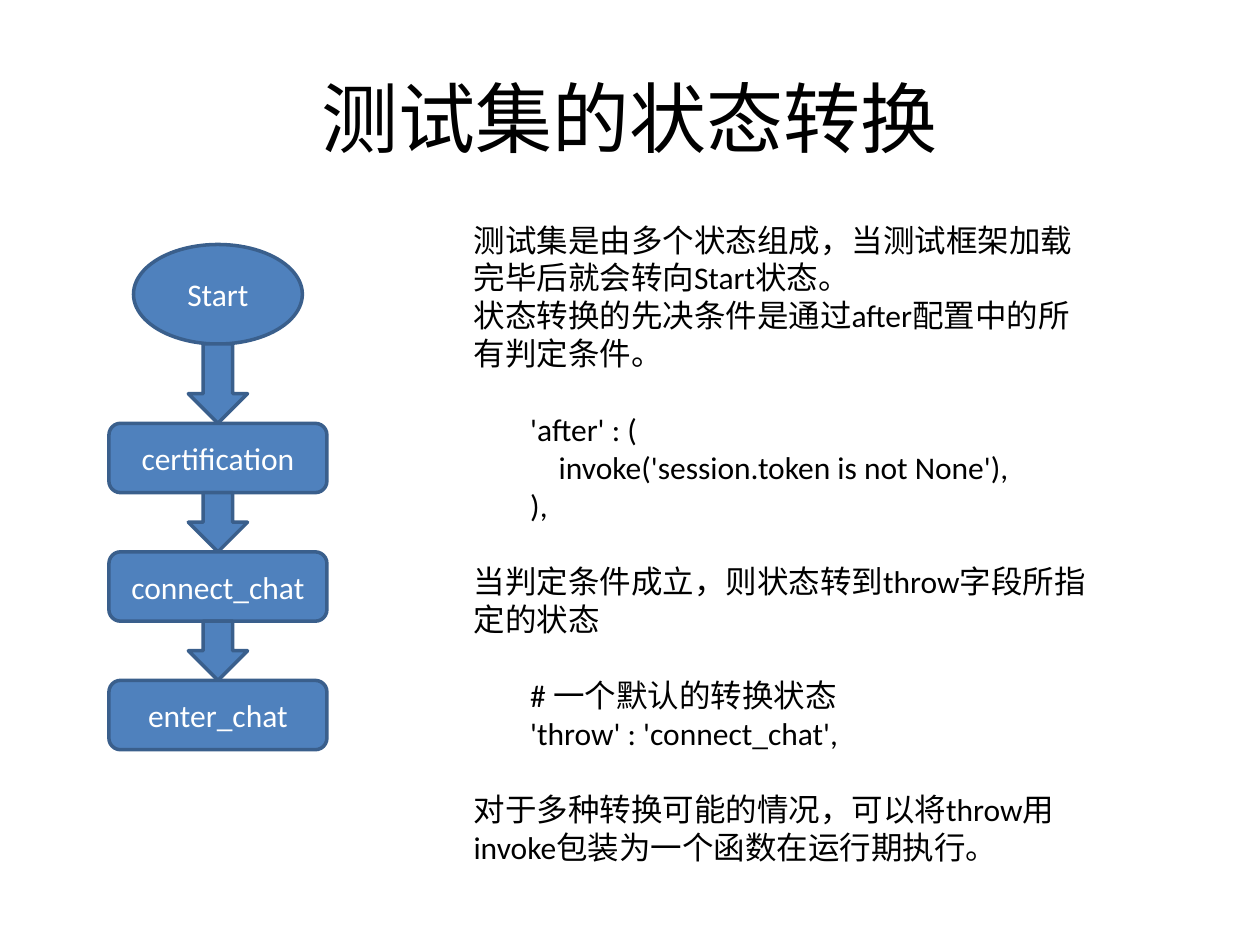
from dataclasses import dataclass

from lxml import etree
from pptx import Presentation
from pptx.dml.color import RGBColor
from pptx.enum.shapes import MSO_SHAPE
from pptx.enum.text import MSO_ANCHOR, PP_ALIGN
from pptx.oxml.ns import qn
from pptx.slide import Slide
from pptx.util import Emu, Inches, Pt

ELLIPSE = MSO_SHAPE.OVAL
ROUNDED = MSO_SHAPE.ROUNDED_RECTANGLE
DOWN_ARROW = MSO_SHAPE.DOWN_ARROW
MIDDLE = MSO_ANCHOR.MIDDLE
CENTER = PP_ALIGN.CENTER
LEFT = PP_ALIGN.LEFT


@dataclass(frozen=True)
class Theme:
    latin: str = "Calibri"
    asian: str = "Noto Sans CJK SC"
    ink: RGBColor = RGBColor(0, 0, 0)
    label: RGBColor = RGBColor(255, 255, 255)
    fill: RGBColor = RGBColor(0x4F, 0x81, 0xBD)
    outline: RGBColor = RGBColor(0x3A, 0x5F, 0x8C)
    outline_width: Emu = Pt(2)
    title_size: Emu = Pt(44)
    body_size: Emu = Pt(18)
    block_gap: Emu = Pt(22)
    indent: Emu = Inches(0.225)


@dataclass(frozen=True)
class State:
    name: str
    kind: MSO_SHAPE
    width: float
    height: float
    gap_below: float


@dataclass(frozen=True)
class Line:
    text: str
    level: int = 0
    starts_block: bool = False


THEME = Theme()
SLIDE_WIDTH, SLIDE_HEIGHT = Inches(10), Inches(7.5)
FLOW_CENTER, FLOW_TOP = 1.73, 1.94
ARROW_WIDTH = 0.47

STATES = [
    State("Start", ELLIPSE, 1.34, 0.79, 0.63),
    State("certification", ROUNDED, 1.73, 0.55, 0.47),
    State("connect_chat", ROUNDED, 1.73, 0.55, 0.47),
    State("enter_chat", ROUNDED, 1.73, 0.55, 0),
]

TITLE = [Line("测试集的状态转换")]
EXPLANATION = [
    Line("测试集是由多个状态组成，当测试框架加载完毕后就会转向Start状态。"),
    Line("状态转换的先决条件是通过after配置中的所有判定条件。"),
    Line("'after' : (", 2, True),
    Line("invoke('session.token is not None'),", 3),
    Line("),", 2),
    Line("当判定条件成立，则状态转到throw字段所指定的状态", 0, True),
    Line("# 一个默认的转换状态", 2, True),
    Line("'throw' : 'connect_chat',", 2),
    Line("对于多种转换可能的情况，可以将throw用invoke包装为一个函数在运行期执行。", 0, True),
]


def write_lines(frame, lines: list[Line], size: Emu, color: RGBColor, align: PP_ALIGN) -> None:
    frame.word_wrap = True
    for index, line in enumerate(lines):
        para = frame.paragraphs[0] if index == 0 else frame.add_paragraph()
        para.text = line.text
        para.alignment = align
        if line.starts_block:
            para.space_before = THEME.block_gap
        para.font.size = size
        para.font.color.rgb = color
        para.font.name = THEME.latin
        properties = para._p.get_or_add_pPr()
        properties.set("marL", str(int(line.level * THEME.indent)))
        asian = etree.SubElement(properties.find(qn("a:defRPr")), qn("a:ea"))
        asian.set("typeface", THEME.asian)


def add_text(page: Slide, left: float, top: float, width: float, height: float,
             lines: list[Line], size: Emu, align: PP_ALIGN):
    box = page.shapes.add_textbox(
        int(left * SLIDE_WIDTH), int(top * SLIDE_HEIGHT),
        int(width * SLIDE_WIDTH), int(height * SLIDE_HEIGHT))
    write_lines(box.text_frame, lines, size, THEME.ink, align)
    return box


def add_flow_shape(page: Slide, kind: MSO_SHAPE, top: float, width: float, height: float):
    shape = page.shapes.add_shape(
        kind, Inches(FLOW_CENTER - width / 2), Inches(top), Inches(width), Inches(height))
    shape.shadow.inherit = False
    shape.fill.solid()
    shape.fill.fore_color.rgb = THEME.fill
    shape.line.color.rgb = THEME.outline
    shape.line.width = THEME.outline_width
    return shape


def add_flow(page: Slide, states: list[State]) -> None:
    top = FLOW_TOP
    for state in states:
        shape = add_flow_shape(page, state.kind, top, state.width, state.height)
        shape.text_frame.vertical_anchor = MIDDLE
        write_lines(shape.text_frame, [Line(state.name)], THEME.body_size, THEME.label, CENTER)
        top += state.height
        if state.gap_below:
            add_flow_shape(page, DOWN_ARROW, top, ARROW_WIDTH, state.gap_below)
            top += state.gap_below


def main() -> None:
    deck = Presentation()
    deck.slide_width, deck.slide_height = SLIDE_WIDTH, SLIDE_HEIGHT
    page = deck.slides.add_slide(deck.slide_layouts[6])
    title = add_text(page, 0.05, 0.04, 0.9, 1 / 6, TITLE, THEME.title_size, CENTER)
    title.text_frame.vertical_anchor = MIDDLE
    add_flow(page, STATES)
    add_text(page, 0.366, 0.227, 0.512, 0.74, EXPLANATION, THEME.body_size, LEFT)
    deck.save("out.pptx")


if __name__ == "__main__":
    main()
